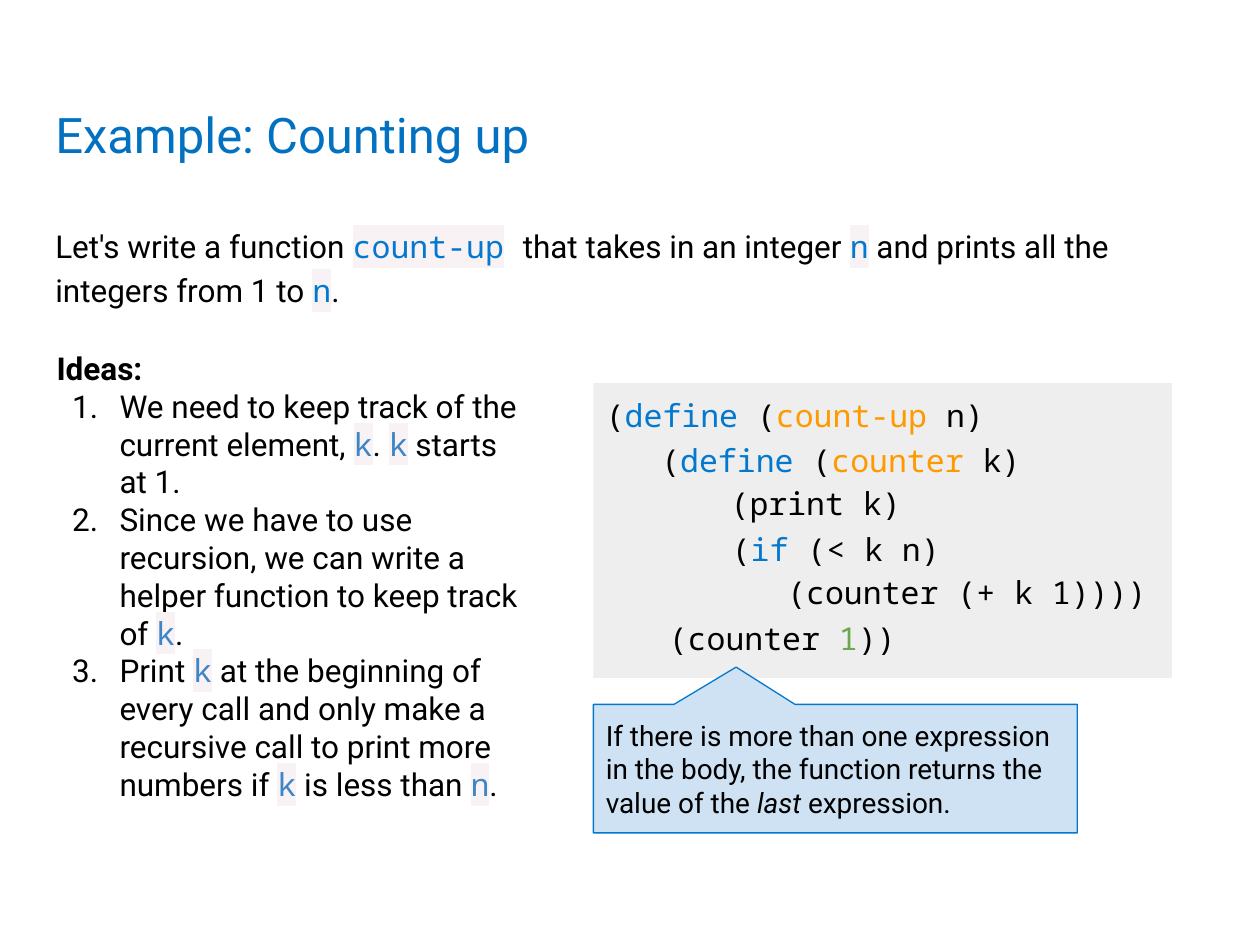
from typing import NamedTuple

from lxml import etree
from pptx import Presentation
from pptx import util as u
from pptx.dml.color import RGBColor
from pptx.enum import shapes, text
from pptx.oxml.ns import qn

COLORS = {
    "title": "0371C1", "black": "000000", "keyword": "0378CE",
    "variable": "3D85C6", "name": "FF9900", "number": "6AA84F",
    "highlight": "F9F2F4", "code_panel": "EEEEEE", "callout": "CFE2F3",
}
SANS, MONO = "Roboto", "Noto Sans Mono"
TOP, MIDDLE = text.MSO_ANCHOR.TOP, text.MSO_ANCHOR.MIDDLE


class Style(NamedTuple):
    color: str = "black"
    font: str = SANS
    highlight: bool = False
    bold: bool = False
    italic: bool = False


class Span(NamedTuple):
    text: str
    style: Style = Style()


class Box(NamedTuple):
    left: float
    top: float
    width: float
    height: float


class CodeLine(NamedTuple):
    box: Box
    spans: list[Span]
    anchor: text.MSO_ANCHOR = TOP


TITLE = Style("title")
BOLD = Style(bold=True)
ITALIC = Style(italic=True)
CODE = Style(font=MONO)
KEYWORD = Style("keyword", MONO)
NAME = Style("name", MONO)
NUMBER = Style("number", MONO)
MARKED = Style("keyword", MONO, True)
VARIABLE = Style("variable", MONO, True)
K, N = Span("k", VARIABLE), Span("n", VARIABLE)

INTRO = [
    Span("Let's write a function "), Span("count-up", MARKED), Span(" ", KEYWORD),
    Span("that takes in an integer "), Span("n", MARKED),
    Span(" and prints all the integers from 1 to "), Span("n", MARKED), Span("."),
]
IDEAS = [
    [Span("We need to keep track of the current element, "), K, Span(". "), K,
     Span(" starts at 1.")],
    [Span("Since we have to use recursion, we can write a helper function "
          "to keep track of "), K, Span(".")],
    [Span("Print "), K,
     Span(" at the beginning of every call and only make a recursive call "
          "to print more numbers if "), K, Span(" is less than "), N, Span(".")],
]
CODE_HEAD = [Span("(", CODE), Span("define", KEYWORD), Span(" (", CODE),
             Span("count-up", NAME), Span(" n)", CODE)]
CODE_LINES = [
    CodeLine(Box(370.8, 244.8, 230.4, 34.56),
             [Span("(", CODE), Span("define", KEYWORD), Span(" (", CODE),
              Span("counter", NAME), Span(" k)", CODE)]),
    CodeLine(Box(410.4, 270, 113.76, 34.56), [Span("(print k)", CODE)], MIDDLE),
    CodeLine(Box(411.12, 295.92, 183.6, 34.56),
             [Span("(", CODE), Span("if", KEYWORD), Span(" (< k n)", CODE)]),
    CodeLine(Box(442.8, 320.4, 230.4, 34.56), [Span("(counter (+ k 1))))", CODE)]),
    CodeLine(Box(375.12, 346.32, 183.6, 34.56),
             [Span("(counter ", CODE), Span("1", NUMBER), Span("))", CODE)]),
]
CALLOUT = [
    Span("If there is more than one expression in the body, the function "
         "returns the value of the "),
    Span("last", ITALIC), Span(" expression."),
]


def rgb(key: str) -> RGBColor:
    return RGBColor.from_string(COLORS[key])


def points(box: Box) -> list[u.Length]:
    return [u.Pt(value) for value in box]


def add_color(parent, tag: str, key: str) -> None:
    """Append a DrawingML colour element to parent."""
    holder = etree.SubElement(parent, qn(tag))
    etree.SubElement(holder, qn("a:srgbClr")).set("val", COLORS[key])


def number_paragraph(p) -> None:
    """Give the paragraph a hanging "1." number."""
    ppr = p._p.get_or_add_pPr()
    ppr.set("marL", str(u.Pt(36)))
    ppr.set("indent", str(u.Pt(-27)))
    add_color(ppr, "a:buClr", "black")
    etree.SubElement(ppr, qn("a:buFont")).set("typeface", SANS)
    etree.SubElement(ppr, qn("a:buAutoNum")).set("type", "arabicPeriod")


def write(p, spans: list[Span], size: float) -> None:
    p.alignment = text.PP_ALIGN.LEFT
    for span in spans:
        r = p.add_run()
        r.text = span.text
        r.font.size = u.Pt(size)
        r.font.bold = span.style.bold
        r.font.italic = span.style.italic
        r.font.color.rgb = rgb(span.style.color)
        if span.style.highlight:
            add_color(r.font._element, "a:highlight", "highlight")
        r.font.name = span.style.font


def set_frame(sp, anchor: text.MSO_ANCHOR):
    """Set wrapping, anchor and even insets, and return the text frame."""
    tf = sp.text_frame
    tf.word_wrap = True
    tf.vertical_anchor = anchor
    tf.margin_left = tf.margin_top = tf.margin_right = tf.margin_bottom = u.Pt(7.2)
    return tf


def add_text(s, box: Box, spans: list[Span], size: float = 18,
             anchor: text.MSO_ANCHOR = TOP):
    tf = set_frame(s.shapes.add_textbox(*points(box)), anchor)
    write(tf.paragraphs[0], spans, size)
    return tf


def add_panel(s, kind: shapes.MSO_SHAPE, box: Box, fill: str, spans: list[Span],
              size: float, anchor: text.MSO_ANCHOR):
    """Add a filled shape without an outline, holding one paragraph."""
    sp = s.shapes.add_shape(kind, *points(box))
    sp.shadow.inherit = False
    sp.fill.solid()
    sp.fill.fore_color.rgb = rgb(fill)
    sp.line.fill.background()
    write(set_frame(sp, anchor).paragraphs[0], spans, size)
    return sp


def main() -> None:
    prs = Presentation()
    prs.slide_width, prs.slide_height = u.Pt(720), u.Pt(540)
    s = prs.slides.add_slide(prs.slide_layouts[6])

    add_text(s, Box(24.48, 46.8, 671.04, 59.76),
             [Span("Example: Counting up", TITLE)], 28, MIDDLE)

    intro = add_text(s, Box(24.48, 119.52, 671.04, 50.4), INTRO).paragraphs[0]
    intro.line_spacing = 1.15
    intro.space_after = u.Pt(16)

    ideas = add_text(s, Box(25.2, 192.24, 284.4, 264.96), [Span("Ideas:", BOLD)])
    for idea in IDEAS:
        p = ideas.add_paragraph()
        number_paragraph(p)
        write(p, idea, 18)

    add_panel(s, shapes.MSO_SHAPE.RECTANGLE, Box(339.12, 218.88, 330.48, 168.48),
              "code_panel", CODE_HEAD, 18, TOP)
    for line in CODE_LINES:
        add_text(s, line.box, line.spans, anchor=line.anchor)

    callout = add_panel(s, shapes.MSO_SHAPE.ROUNDED_RECTANGULAR_CALLOUT,
                        Box(339.12, 402.48, 276.48, 73.44), "callout", CALLOUT,
                        16, MIDDLE)
    for i, value in enumerate((-0.205, -0.79, 0)):
        callout.adjustments[i] = value
    callout.line.color.rgb = rgb("keyword")
    callout.line.width = u.Pt(0.75)

    prs.save("out.pptx")


if __name__ == "__main__":
    main()
